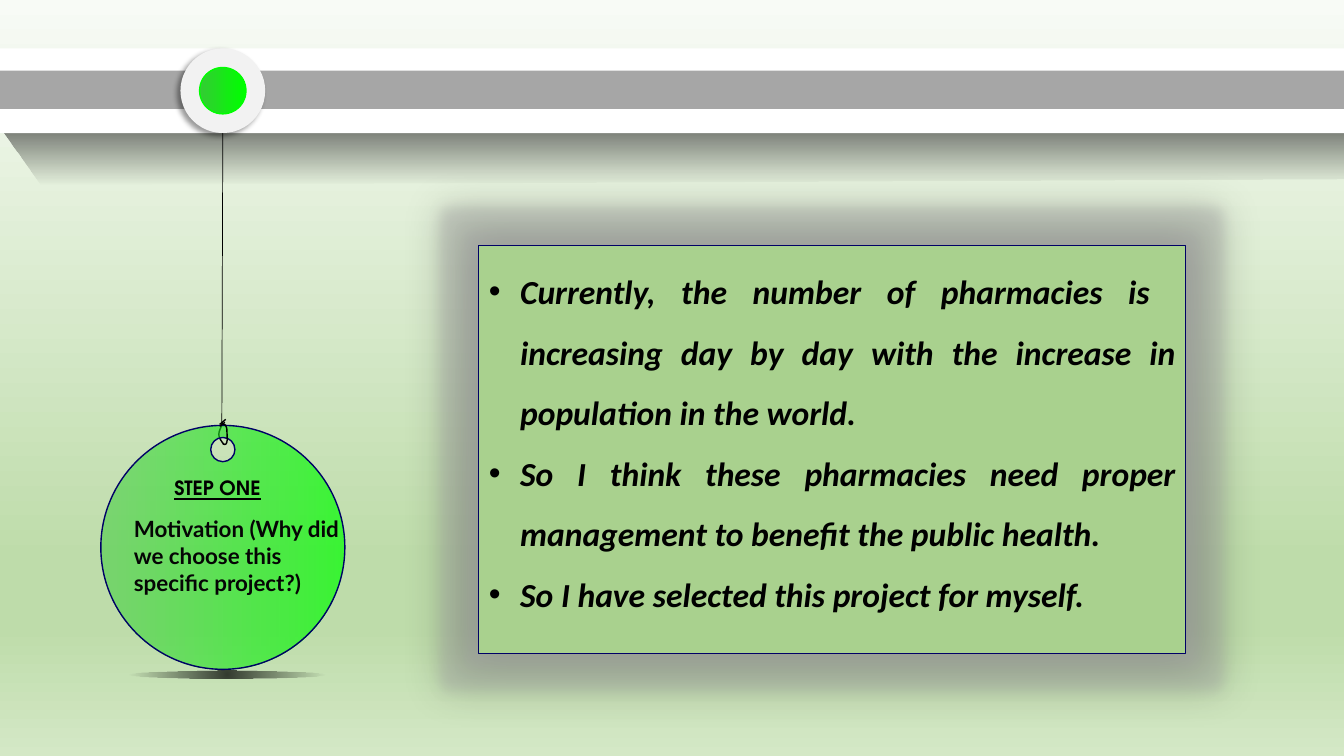
"""Build the STEP ONE motivation slide with a hanging tag and a bulleted panel."""
import pptx
import pptx.dml.color
import pptx.enum.shapes
import pptx.enum.text
import pptx.oxml.ns
import pptx.util
from lxml import etree
from pptx.util import Inches

COLORS = {
    "black": "000000", "ink": "050505", "white": "FFFFFF", "pale": "F2F2F2",
    "gray": "A6A6A6", "glow": "A5A5A5", "navy": "000066", "panel": "A9D18E",
    "green": "33CC33", "lime": "00FF00",
    "mist": "F8FBF6", "leaf": "BEDCAA", "dew": "D4E8C6",
}
RGB = {name: pptx.dml.color.RGBColor.from_string(code) for name, code in COLORS.items()}
SHAPE = pptx.enum.shapes.MSO_SHAPE
qn = pptx.oxml.ns.qn


def set_gradient(element, stops, angle=None):
    """Give a gradient its (position, colour, opacity) stops; no angle means radial."""
    gradient = element.find(".//" + qn("a:gradFill"))
    stop_list = gradient.find(qn("a:gsLst"))
    for stop in list(stop_list):
        stop_list.remove(stop)
    for position, color, opacity in stops:
        stop = etree.SubElement(stop_list, qn("a:gs"), pos=str(position * 1000))
        tint = etree.SubElement(stop, qn("a:srgbClr"), val=COLORS[color])
        if opacity < 100:
            etree.SubElement(tint, qn("a:alpha"), val=str(opacity * 1000))
    linear = gradient.find(qn("a:lin"))
    if angle is not None:
        linear.set("ang", str(angle * 60000))
    else:
        gradient.remove(linear)
        radial = etree.SubElement(gradient, qn("a:path"), path="circle")
        etree.SubElement(radial, qn("a:fillToRect"), l="50000", t="50000", r="50000", b="50000")


def style(shape, fill=None, line=None, width=1, effects=()):
    """Set fill, line and effects, each a (tag, colour, opacity, attributes in points)."""
    shape.shadow.inherit = False
    if fill == "gradient":
        shape.fill.gradient()
    elif fill:
        shape.fill.solid()
        shape.fill.fore_color.rgb = RGB[fill]
    else:
        shape.fill.background()
    if line:
        shape.line.color.rgb = RGB[line]
        shape.line.width = pptx.util.Pt(width)
    else:
        shape.line.fill.background()
    effect_list = shape._element.spPr.find(qn("a:effectLst"))
    for tag, color, opacity, settings in effects:
        effect = etree.SubElement(effect_list, qn(tag))
        for name, value in settings.items():
            effect.set(name, str(value * (60000 if name == "dir" else 12700)))
        tint = etree.SubElement(effect, qn("a:srgbClr"), val=COLORS[color])
        etree.SubElement(tint, qn("a:alpha"), val=str(opacity * 1000))
    return shape


deck = pptx.Presentation()
deck.slide_width, deck.slide_height = Inches(13.33), Inches(7.5)
page = deck.slides.add_slide(deck.slide_layouts[6])
shapes = page.shapes

page.background.fill.gradient()
set_gradient(page._element, [(0, "mist", 100), (74, "leaf", 100),
                             (83, "leaf", 100), (100, "dew", 100)], 90)
fade = [(0, "black", 74), (100, "black", 0)]

outline = shapes.build_freeform(Inches(0.41), Inches(1.83))
outline.add_line_segments([(Inches(x), Inches(y)) for x, y in
                           [(-0.17, 1.02), (13.22, 1.17), (13.62, 1.77)]])
bar_shade = style(outline.convert_to_shape(), "gradient")
set_gradient(bar_shade._element, fade, 90)

for left, top, width, height, color in [(-0.66, 0.48, 14.92, 0.84, "white"),
                                        (-0.32, 0.7, 14.11, 0.38, "gray")]:
    bar = shapes.add_shape(SHAPE.ROUNDED_RECTANGLE, Inches(left), Inches(top),
                           Inches(width), Inches(height))
    bar.adjustments[0] = 0.5
    style(bar, color)

floor_shade = style(shapes.add_shape(SHAPE.OVAL, Inches(1.27), Inches(6.65),
                                     Inches(1.96), Inches(0.08)), "gradient")
set_gradient(floor_shade._element, fade)

circle = [(0, -1), (0.55, -1), (1, -0.55), (1, 0), (1, 0.55), (0.55, 1), (0, 1),
          (-0.55, 1), (-1, 0.55), (-1, 0), (-1, -0.55), (-0.55, -1), (0, -1)]
disc = [(2.21 + 1.21 * x, 5.43 + 1.21 * y) for x, y in circle]
hole = [(2.21 - 0.12 * x, 4.46 + 0.12 * y) for x, y in circle]
loop_back = [(2.22, 4.41), (2.2, 4.38), (2.17, 4.35), (2.17, 4.31),
             (2.17, 4.28), (2.19, 4.24), (2.21, 4.2)]
loop_front = [(2.2, 4.21), (2.23, 4.2), (2.24, 4.22), (2.25, 4.25), (2.25, 4.28),
              (2.26, 4.37), (2.25, 4.39), (2.24, 4.42), (2.22, 4.41), (2.21, 4.4)]
knot_strands = [[(2.18, 4.23), (2.23, 4.19)], [(2.18, 4.21), (2.24, 4.16)]]

for contours in [[loop_back], [disc, hole], [loop_front], *([strand] for strand in knot_strands)]:
    is_tag = contours[0] is disc
    outline = None
    for contour in contours:
        points = [(Inches(x), Inches(y)) for x, y in contour]
        if outline:
            outline.move_to(*points[0])
        else:
            outline = shapes.build_freeform(*points[0])
        outline.add_line_segments(points[1:], close=is_tag)
    drawing = outline.convert_to_shape()
    track = drawing._element.find(".//" + qn("a:path"))
    steps = track.findall(qn("a:lnTo"))
    for start in range(0, len(steps) - 2, 3):
        curve = etree.Element(qn("a:cubicBezTo"))
        steps[start].addprevious(curve)
        for step in steps[start:start + 3]:
            curve.append(step[0])
            track.remove(step)
    if is_tag:
        style(drawing, "gradient", "navy")
        set_gradient(drawing._element, [(0, "green", 50), (100, "lime", 70)], 0)
    else:
        style(drawing, line="black")

ring = shapes.add_shape(SHAPE.OVAL, Inches(1.79), Inches(0.48), Inches(0.84), Inches(0.84))
style(ring, "pale", effects=[("a:outerShdw", "black", 40, {"blurRad": 4, "dist": 3, "dir": 135})])
button = shapes.add_shape(SHAPE.OVAL, Inches(1.98), Inches(0.67), Inches(0.46), Inches(0.46))
style(button, "gradient", "lime")
set_gradient(button._element, [(0, "green", 100), (100, "lime", 100)], 0)

cord = shapes.add_connector(pptx.enum.shapes.MSO_CONNECTOR.STRAIGHT,
                            Inches(2.21), Inches(1.32), Inches(2.2), Inches(4.22))
cord.line.color.rgb = RGB["black"]
cord.line.width = pptx.util.Pt(0.5)
etree.SubElement(cord._element.spPr, qn("a:effectLst"))

for text, left, top, width, height, wrap, font, size, color in [
    ("STEP ONE", 1.63, 4.67, 1.08, 0.34, False, "TeX Gyre Adventor", 14, "black"),
    ("Motivation (Why did we choose this specific project?)",
     1.23, 5.06, 2.24, 0.91, True, "Lato", 16, "ink"),
]:
    box = shapes.add_textbox(Inches(left), Inches(top), Inches(width), Inches(height))
    box.text_frame.word_wrap = wrap
    para = box.text_frame.paragraphs[0]
    para.text = text
    para.font.name, para.font.size = font, pptx.util.Pt(size)
    para.font.bold = True
    para.font.underline = not wrap
    para.font.color.rgb = RGB[color]

panel = shapes.add_shape(SHAPE.RECTANGLE, Inches(4.75), Inches(2.44), Inches(7.01), Inches(4.04))
style(panel, "panel", "navy", 0.75, [
    ("a:glow", "glow", 40, {"rad": 18}),
    ("a:outerShdw", "black", 42, {"blurRad": 27, "dist": 0, "dir": 90}),
])
frame = panel.text_frame
frame.word_wrap = True
frame.vertical_anchor = pptx.enum.text.MSO_ANCHOR.TOP
frame.text = "\n".join([
    "Currently, the number of pharmacies is  increasing day by day with the increase in population in the world.",
    "So I think these pharmacies need proper management to benefit the public health.",
    "So I have selected this project for myself.",
])
for para in frame.paragraphs:
    para.alignment = pptx.enum.text.PP_ALIGN.JUSTIFY
    para.line_spacing = 1.5
    properties = para._p.get_or_add_pPr()
    properties.set("marL", str(Inches(0.31)))
    properties.set("indent", str(-Inches(0.31)))
    etree.SubElement(properties, qn("a:buFont"), typeface="Arial")
    etree.SubElement(properties, qn("a:buChar"), char="•")
    para.font.name, para.font.size = "Calibri", pptx.util.Pt(24)
    para.font.bold = para.font.italic = True
    para.font.color.rgb = RGB["black"]

deck.save("out.pptx")
